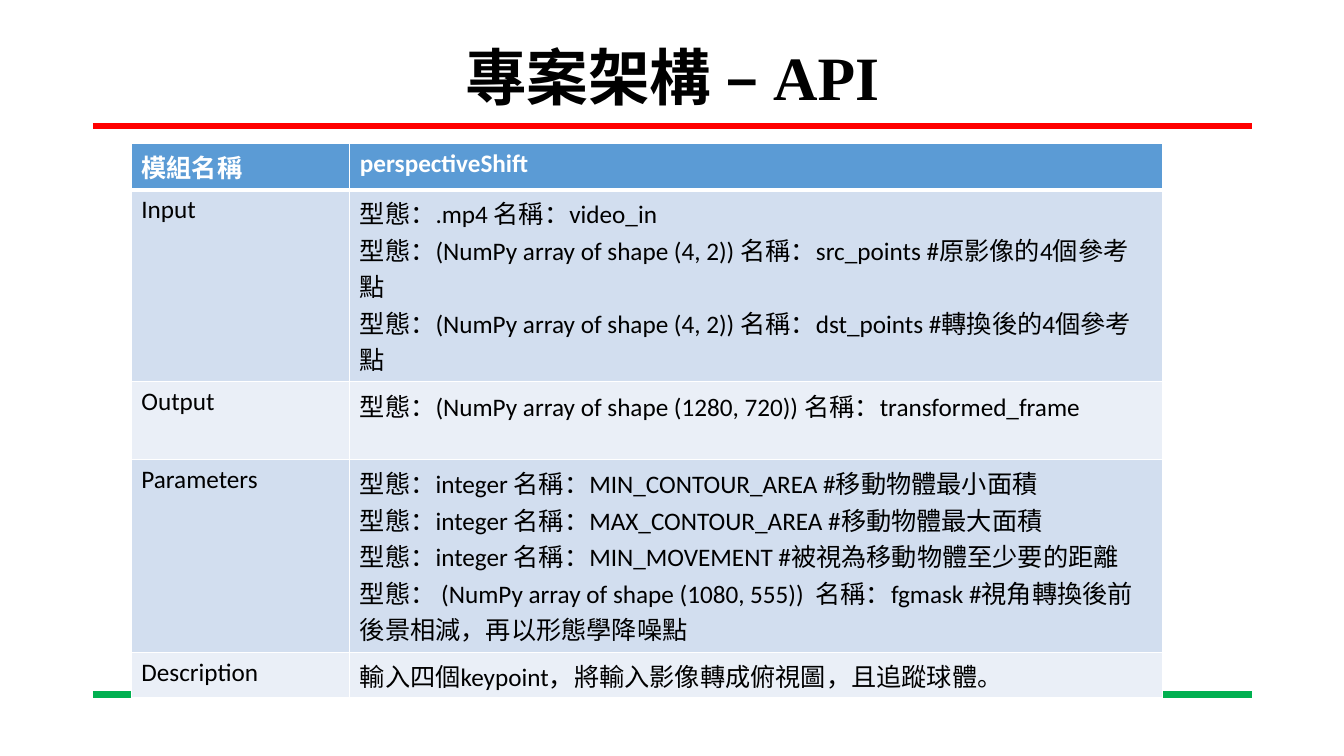
from dataclasses import dataclass

from lxml import etree
from pptx import Presentation
from pptx import util as u
from pptx.dml.color import RGBColor
from pptx.enum import shapes, text
from pptx.oxml.ns import qn


@dataclass(frozen=True)
class Theme:
    title_font: str = "Times New Roman"
    body_font: str = "Calibri"
    title_size: int = 44
    body_size: int = 18
    rule_width: float = 4.5
    black: str = "000000"
    white: str = "FFFFFF"
    top_rule: str = "FF0000"
    bottom_rule: str = "00B050"
    header: str = "5B9BD5"
    bands: tuple = ("D2DEEF", "EAEFF7")


THEME = Theme()

TITLE = "專案架構 – API"
MODULE_API = [
    ("模組名稱", ["perspectiveShift"]),
    ("Input", [
        "型態：.mp4 名稱：video_in",
        "型態：(NumPy array of shape (4, 2)) 名稱：src_points #原影像的4個參考點",
        "型態：(NumPy array of shape (4, 2)) 名稱：dst_points #轉換後的4個參考點",
    ]),
    ("Output", ["型態：(NumPy array of shape (1280, 720)) 名稱：transformed_frame"]),
    ("Parameters", [
        "型態：integer 名稱：MIN_CONTOUR_AREA #移動物體最小面積",
        "型態：integer 名稱：MAX_CONTOUR_AREA #移動物體最大面積",
        "型態：integer 名稱：MIN_MOVEMENT #被視為移動物體至少要的距離",
        "型態： (NumPy array of shape (1080, 555))  名稱：fgmask "
        "#視角轉換後前後景相減，再以形態學降噪點",
    ]),
    ("Description", ["輸入四個keypoint，將輸入影像轉成俯視圖，且追蹤球體。"]),
]
ROW_HEIGHTS = (1.17, 4.84, 1.96, 4.86, 1.14)
NAME_SHARE = 0.212


def write(tf, lines, font=THEME.body_font, size=THEME.body_size,
          color=THEME.black, bold=False, align=None, spacing=None):
    for i, line in enumerate(lines):
        p = tf.paragraphs[0] if i == 0 else tf.add_paragraph()
        p.alignment = align
        p.line_spacing = spacing
        r = p.add_run()
        r.text = line
        r.font.name = font
        r.font.size = u.Pt(size)
        r.font.bold = bold
        r.font.color.rgb = RGBColor.from_string(color)


def add_rule(s, left, top, width, color):
    line = s.shapes.add_connector(shapes.MSO_CONNECTOR.STRAIGHT, u.Cm(left), u.Cm(top),
                                  u.Cm(left + width), u.Cm(top))
    line.line.color.rgb = RGBColor.from_string(color)
    line.line.width = u.Pt(THEME.rule_width)
    etree.SubElement(line._element.spPr, qn("a:effectLst"))


def add_title(s, left, top, width, height):
    tf = s.shapes.add_textbox(u.Cm(left), u.Cm(top), u.Cm(width), u.Cm(height)).text_frame
    tf.word_wrap = True
    tf.vertical_anchor = text.MSO_ANCHOR.MIDDLE
    write(tf, [TITLE], font=THEME.title_font, size=THEME.title_size, bold=True,
          align=text.PP_ALIGN.CENTER, spacing=0.9)


def set_borders(cell, bottom):
    """Draw white borders, with the bottom one as wide as given in points."""
    tc_pr = cell._tc.get_or_add_tcPr()
    widths = {"a:lnL": 1, "a:lnR": 1, "a:lnT": 1, "a:lnB": bottom}
    for i, (tag, width) in enumerate(widths.items()):
        ln = etree.Element(qn(tag), w=str(u.Pt(width)))
        fill = etree.SubElement(ln, qn("a:solidFill"))
        etree.SubElement(fill, qn("a:srgbClr"), val=THEME.white)
        tc_pr.insert(i, ln)


def add_api_table(s, left, top, width):
    frame = s.shapes.add_table(len(MODULE_API), 2, u.Cm(left), u.Cm(top),
                               u.Cm(width), u.Cm(sum(ROW_HEIGHTS)))
    table = frame.table
    table.columns[0].width = u.Cm(width * NAME_SHARE)
    table.columns[1].width = u.Cm(width * (1 - NAME_SHARE))
    for i, (name, details) in enumerate(MODULE_API):
        is_header = i == 0
        table.rows[i].height = u.Cm(ROW_HEIGHTS[i])
        fill = THEME.header if is_header else THEME.bands[(i - 1) % 2]
        for cell, lines in zip(table.rows[i].cells, ([name], details)):
            write(cell.text_frame, lines, bold=is_header,
                  color=THEME.white if is_header else THEME.black)
            cell.fill.solid()
            cell.fill.fore_color.rgb = RGBColor.from_string(fill)
            set_borders(cell, bottom=3 if is_header else 1)


def add_api_slide(prs):
    s = prs.slides.add_slide(prs.slide_layouts[6])
    left, width = 2.34, 29.2
    add_rule(s, left, 3.18, width, THEME.top_rule)
    add_rule(s, left, 17.5, width, THEME.bottom_rule)
    add_title(s, left, 1.02, width, 2)
    add_api_table(s, left + 0.97, 3.61, 25.98)


def main():
    prs = Presentation()
    prs.slide_width, prs.slide_height = u.Cm(33.87), u.Cm(19.05)
    add_api_slide(prs)
    prs.save("out.pptx")


if __name__ == "__main__":
    main()
